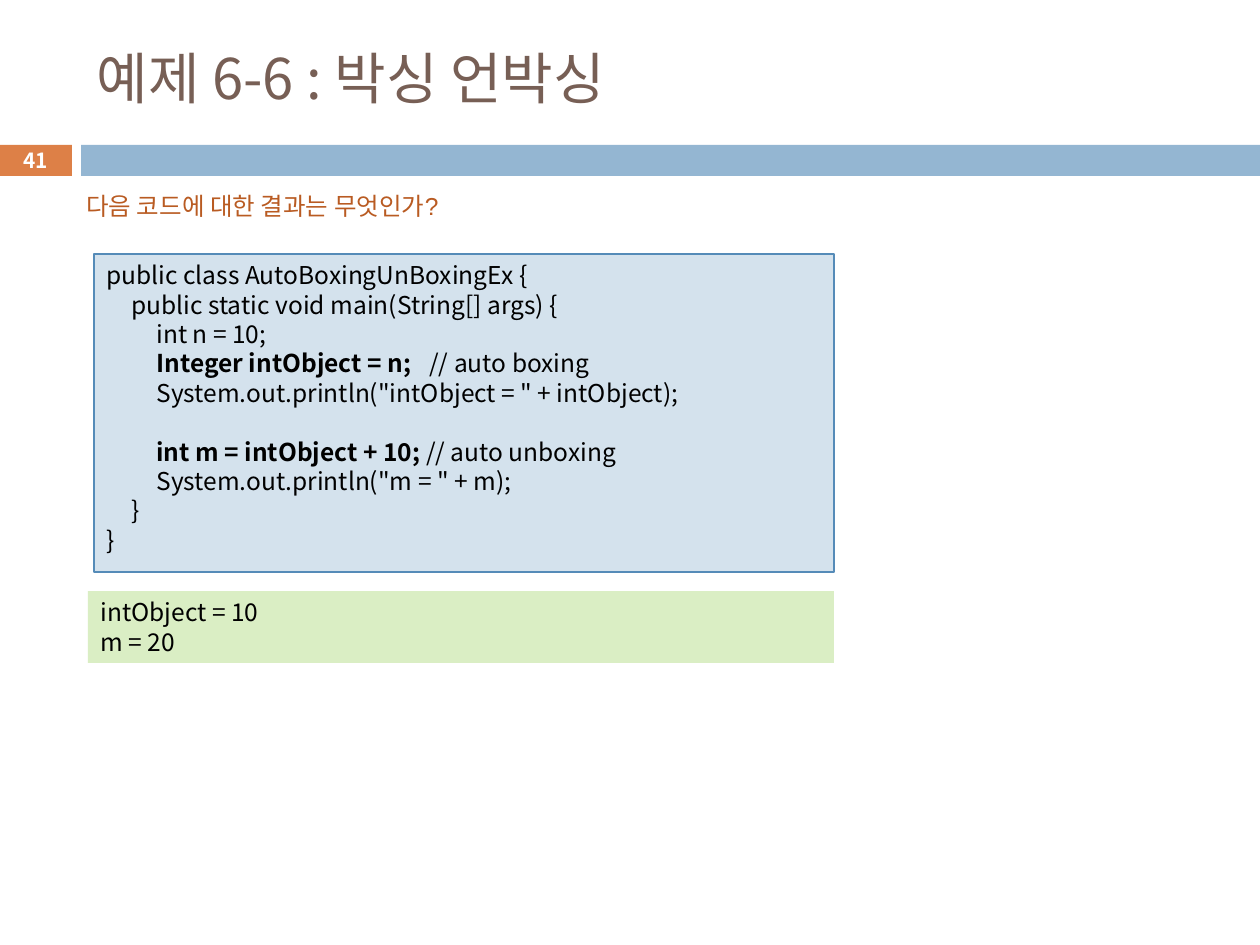
import dataclasses
from typing import Optional

import lxml.etree
import pptx
import pptx.dml.color
import pptx.enum.shapes
import pptx.enum.text
import pptx.oxml.ns
import pptx.util

EMU_PER_PX = 914400 / 126
FONT = "Noto Sans CJK KR"
LINE_PITCH = pptx.util.Pt(16.8)
TAB_STOPS = (25, 50, 323)
ALIGN = pptx.enum.text.PP_ALIGN
ANCHOR = pptx.enum.text.MSO_ANCHOR


@dataclasses.dataclass(frozen=True)
class Box:
    left: int
    top: int
    width: int
    height: int


@dataclasses.dataclass(frozen=True)
class Span:
    text: str
    bold: bool = False


@dataclasses.dataclass(frozen=True)
class Style:
    size: float = 14
    color: str = "000000"
    latin: str = FONT
    align: ALIGN = ALIGN.LEFT
    anchor: ANCHOR = ANCHOR.TOP
    pitch: Optional[int] = LINE_PITCH
    wrap: bool = True
    tabs: tuple[int, ...] = ()


@dataclasses.dataclass(frozen=True)
class Panel:
    box: Box
    fill: str
    line: Optional[str] = None
    lines: tuple[tuple[Span, ...], ...] = ()
    style: Style = Style()


CODE = (
    (Span("public class AutoBoxingUnBoxingEx {"),),
    (Span("\tpublic static void main(String[] args) {"),),
    (Span("\t\tint n = 10;"),),
    (Span("\t\t"), Span("Integer intObject = n; ", True), Span("\t// auto boxing")),
    (Span('\t\tSystem.out.println("intObject = " + intObject);'),),
    (),
    (Span("\t\t"), Span("int m = intObject + 10;", True), Span(" // auto unboxing")),
    (Span('\t\tSystem.out.println("m = " + m);'),),
    (Span("\t}"),),
    (Span("}"),),
)
OUTPUT = ((Span("intObject = 10"),), (Span("m = 20"),))

PANELS = (
    Panel(Box(-1, 145, 73, 31), "DD8047"),
    Panel(Box(81, 145, 1179, 31), "94B6D2"),
    Panel(Box(94, 254, 740, 318), "D4E2ED", "558BB8", CODE, Style(tabs=TAB_STOPS)),
    Panel(Box(88, 591, 746, 72), "DAEEC4", None, OUTPUT),
)


def px(length: int) -> int:
    return round(length * EMU_PER_PX)


def rgb(color: str) -> pptx.dml.color.RGBColor:
    return pptx.dml.color.RGBColor.from_string(color)


def place(box: Box) -> tuple[int, int, int, int]:
    return px(box.left), px(box.top), px(box.width), px(box.height)


def add_tabs(paragraph, stops: tuple[int, ...]) -> None:
    qn = pptx.oxml.ns.qn
    properties = paragraph._p.get_or_add_pPr()
    tab_list = lxml.etree.SubElement(properties, qn("a:tabLst"))
    for stop in stops:
        lxml.etree.SubElement(tab_list, qn("a:tab"), pos=str(px(stop)), algn="l")


def write(frame, lines: tuple[tuple[Span, ...], ...], style: Style) -> None:
    frame.word_wrap = style.wrap
    frame.vertical_anchor = style.anchor
    frame.auto_size = pptx.enum.text.MSO_AUTO_SIZE.NONE
    for index, spans in enumerate(lines):
        paragraph = frame.add_paragraph() if index else frame.paragraphs[0]
        if style.tabs:
            add_tabs(paragraph, style.tabs)
        paragraph.alignment = style.align
        if style.pitch:
            paragraph.line_spacing = style.pitch
        for span in spans:
            run = paragraph.add_run()
            run.text = span.text
            run.font.size = pptx.util.Pt(style.size)
            run.font.bold = span.bold
            run.font.color.rgb = rgb(style.color)
            run.font.name = style.latin
            east_asian = lxml.etree.SubElement(run.font._element, pptx.oxml.ns.qn("a:ea"))
            east_asian.set("typeface", FONT)


def add_panel(slide, panel: Panel) -> None:
    rectangle = pptx.enum.shapes.MSO_SHAPE.RECTANGLE
    shape = slide.shapes.add_shape(rectangle, *place(panel.box))
    shape.shadow.inherit = False
    shape.fill.solid()
    shape.fill.fore_color.rgb = rgb(panel.fill)
    if panel.line:
        shape.line.color.rgb = rgb(panel.line)
        shape.line.width = pptx.util.Pt(0.75)
    else:
        shape.line.fill.background()
    write(shape.text_frame, panel.lines, panel.style)


def add_label(slide, box: Box, span: Span, style: Style) -> None:
    label = slide.shapes.add_textbox(*place(box))
    write(label.text_frame, ((span,),), style)


def set_title(slide, box: Box, span: Span, style: Style) -> None:
    title = slide.shapes.title
    title.left, title.top, title.width, title.height = place(box)
    write(title.text_frame, ((span,),), style)


def main() -> None:
    presentation = pptx.Presentation()
    presentation.slide_width = px(1260)
    presentation.slide_height = px(945)
    slide = presentation.slides.add_slide(presentation.slide_layouts[5])

    set_title(slide, Box(84, 31, 1124, 93), Span("예제 6-6 : 박싱 언박싱"),
              Style(size=32, color="775F55", anchor=ANCHOR.MIDDLE, pitch=None))
    for panel in PANELS:
        add_panel(slide, panel)
    add_label(slide, Box(74, 185, 418, 43), Span("다음 코드에 대한 결과는 무엇인가?"),
              Style(color="B95B22", latin="Arial", wrap=False))
    add_label(slide, Box(-1, 143, 73, 34), Span("41", True),
              Style(size=11.9, color="FFFFFF", align=ALIGN.CENTER,
                    anchor=ANCHOR.MIDDLE, pitch=None))

    presentation.save("out.pptx")


if __name__ == "__main__":
    main()
